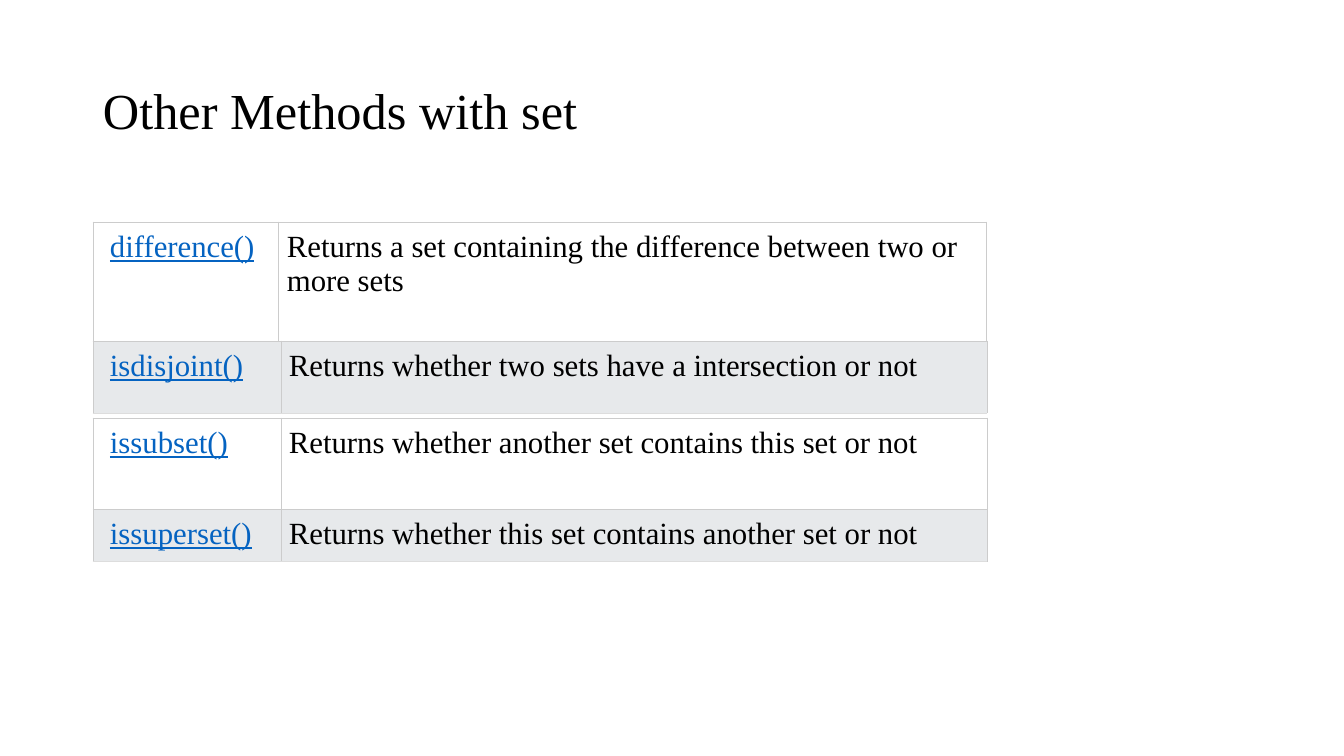
from lxml import etree
from pptx import Presentation
from pptx.dml.color import RGBColor
from pptx.enum.text import MSO_ANCHOR
from pptx.oxml.ns import qn
from pptx.util import Emu, Pt

PX = 914400 / 100.8
FONT = "Times New Roman"
BLACK, LINK = "000000", "0563C1"
WHITE, GREY = "FFFFFF", "E7E9EB"
EDGE, BOTTOM_EDGE = "CCCCCC", "DDDDDD"


def px(length):
    return Emu(round(length * PX))


def style_font(font, size, color):
    font.name = FONT
    font.size = Pt(size)
    font.color.rgb = RGBColor.from_string(color)


deck = Presentation()
deck.slide_width, deck.slide_height = px(1344), px(756)
page = deck.slides.add_slide(deck.slide_layouts[6])

title = page.shapes.add_textbox(px(93), px(40), px(1159), px(146)).text_frame
title.word_wrap = True
title.vertical_anchor = MSO_ANCHOR.MIDDLE
title.text = "Other Methods with set"
title.paragraphs[0].line_spacing = 0.9
style_font(title.paragraphs[0].runs[0].font, 36, BLACK)

# Each table: top, column widths, rows of (height, fill, bottom edge, method, description)
tables = [
    (222, (186, 708), [
        (119, WHITE, BOTTOM_EDGE, "difference()",
         "Returns a set containing the difference between two or more sets"),
    ]),
    (341, (188, 706), [
        (72, GREY, BOTTOM_EDGE, "isdisjoint()",
         "Returns whether two sets have a intersection or not"),
    ]),
    (418, (188, 706), [
        (91, WHITE, EDGE, "issubset()",
         "Returns whether another set contains this set or not"),
        (51, GREY, BOTTOM_EDGE, "issuperset()",
         "Returns whether this set contains another set or not"),
    ]),
]

for top, widths, rows in tables:
    height = sum(row[0] for row in rows)
    table = page.shapes.add_table(
        len(rows), 2, px(93), px(top), px(sum(widths)), px(height)).table
    table.first_row = table.horz_banding = False
    for column, width in zip(table.columns, widths):
        column.width = px(width)

    for row_index, (row_height, fill, bottom, *texts) in enumerate(rows):
        table.rows[row_index].height = px(row_height)
        for column_index, text in enumerate(texts):
            is_method = column_index == 0
            cell = table.cell(row_index, column_index)
            cell.margin_left = px(17 if is_method else 8)
            cell.margin_right = cell.margin_top = cell.margin_bottom = px(8)

            properties = cell._tc.get_or_add_tcPr()
            for side, color in zip("LRTB", (EDGE, EDGE, EDGE, bottom)):
                line = etree.SubElement(properties, qn(f"a:ln{side}"), w=str(Pt(0.75)))
                solid = etree.SubElement(line, qn("a:solidFill"))
                etree.SubElement(solid, qn("a:srgbClr"), val=color)
            cell.fill.solid()
            cell.fill.fore_color.rgb = RGBColor.from_string(fill)

            cell.text_frame.text = text
            font = cell.text_frame.paragraphs[0].runs[0].font
            style_font(font, 22, LINK if is_method else BLACK)
            font.underline = is_method

deck.save("out.pptx")
